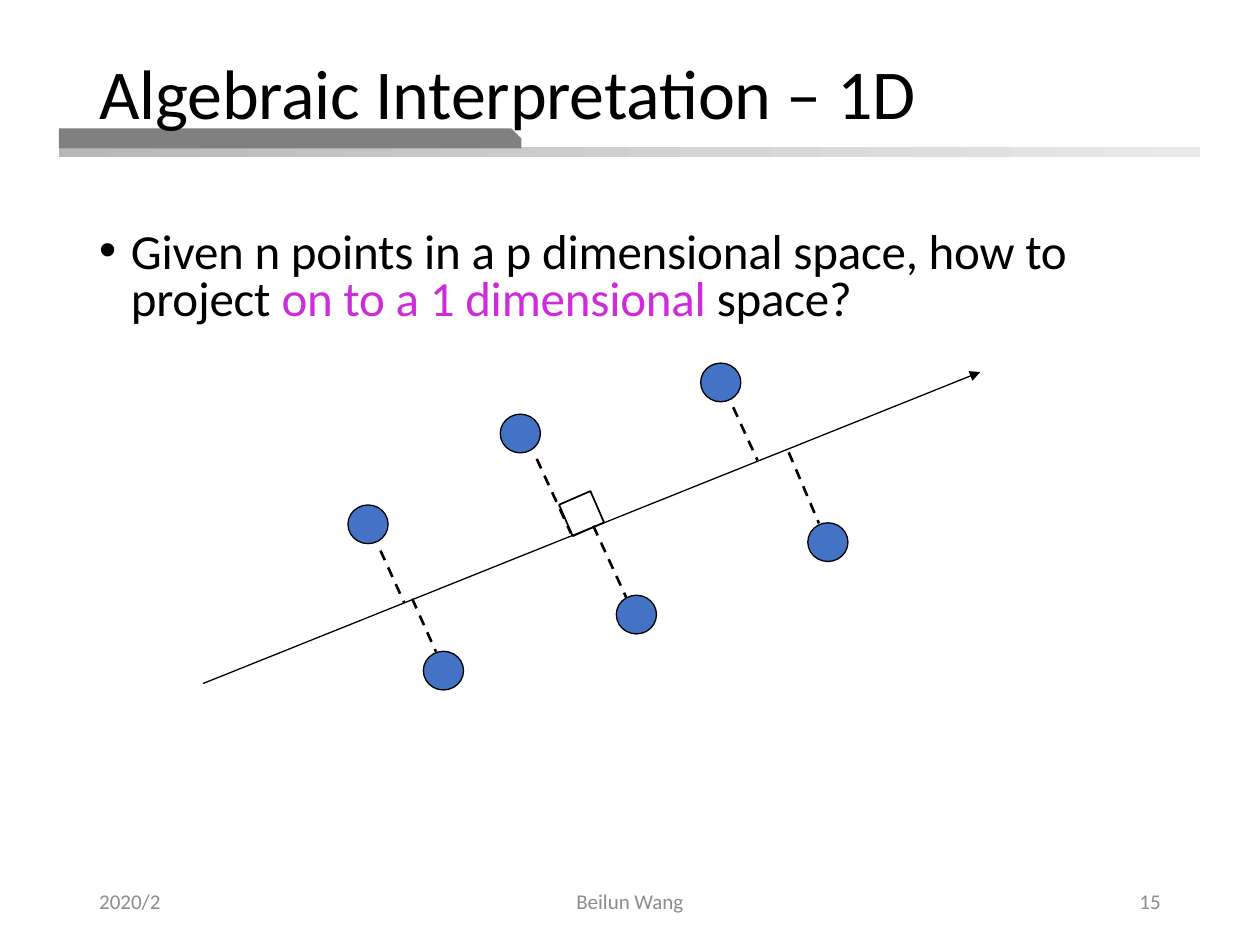
from lxml import etree
from pptx import Presentation
from pptx.dml.color import RGBColor
from pptx.enum.dml import MSO_LINE
from pptx.enum.shapes import MSO_CONNECTOR, MSO_SHAPE
from pptx.enum.text import MSO_ANCHOR, MSO_AUTO_SIZE, PP_ALIGN
from pptx.oxml.ns import qn
from pptx.util import Cm, Pt

LEFT, CENTER, RIGHT = PP_ALIGN.LEFT, PP_ALIGN.CENTER, PP_ALIGN.RIGHT
TOP, MIDDLE = MSO_ANCHOR.TOP, MSO_ANCHOR.MIDDLE
STRAIGHT, DASH = MSO_CONNECTOR.STRAIGHT, MSO_LINE.DASH
RECT, SNIPPED, OVAL = MSO_SHAPE.RECTANGLE, MSO_SHAPE.SNIP_1_RECTANGLE, MSO_SHAPE.OVAL
BLACK, GREY, MAGENTA, BLUE = "000000", "8C8C8C", "CE2CDA", "4472C4"
FONT = "Calibri"


def rgb(color):
    return RGBColor.from_string(color)


def write(frame, *spans, size=12, align=LEFT, anchor=TOP, spacing=1.0,
          tracking=0, inset=0.13, bullet=False):
    """Fill a frame with one paragraph of (text, colour) spans."""
    frame.word_wrap = True
    frame.auto_size = MSO_AUTO_SIZE.NONE
    frame.vertical_anchor = anchor
    frame.margin_left = frame.margin_right = Cm(0.25)
    frame.margin_top = frame.margin_bottom = Cm(inset)
    paragraph = frame.paragraphs[0]
    paragraph.alignment = align
    paragraph.line_spacing = spacing
    if bullet:
        paragraph.space_before = Pt(10)
        properties = paragraph._p.get_or_add_pPr()
        properties.set("marL", str(Cm(0.64)))
        properties.set("indent", str(Cm(-0.64)))
        etree.SubElement(properties, qn("a:buFont")).set("typeface", "Arial")
        etree.SubElement(properties, qn("a:buChar")).set("char", "•")
    for text, color in spans:
        run = paragraph.add_run()
        run.text = text
        run.font.name, run.font.size = FONT, Pt(size)
        run.font.color.rgb = rgb(color)
        if tracking:
            run._r.get_or_add_rPr().set("spc", str(round(tracking * 100)))


def add_text(slide, box, *spans, **style):
    frame = slide.shapes.add_textbox(*map(Cm, box)).text_frame
    write(frame, *spans, **style)


def add_preset(slide, kind, box, fill=None, line=None, width=0.75):
    shape = slide.shapes.add_shape(kind, *map(Cm, box))
    shape.shadow.inherit = False
    if fill:
        shape.fill.solid()
        shape.fill.fore_color.rgb = rgb(fill)
    else:
        shape.fill.background()
    if line:
        shape.line.color.rgb = rgb(line)
        shape.line.width = Pt(width)
    else:
        shape.line.fill.background()
    return shape


def add_line(slide, start, end, width, dash=None, arrow=False):
    connector = slide.shapes.add_connector(STRAIGHT, *map(Cm, start + end))
    connector.line.color.rgb = rgb(BLACK)
    connector.line.width = Pt(width)
    if dash:
        connector.line.dash_style = dash
    if arrow:
        outline = connector.line._get_or_add_ln()
        etree.SubElement(outline, qn("a:tailEnd")).set("type", "triangle")
    etree.SubElement(connector._element.spPr, qn("a:effectLst"))


def add_heading(slide, left, top, width):
    # Gradient rule with a darker tab standing on it
    rule = add_preset(slide, RECT, (left, top + 1.95, width, 0.2))
    rule.fill.gradient()
    rule.fill.gradient_angle = 0
    for stop, color in zip(rule.fill.gradient_stops, ("B8B8B8", "E9E9E9")):
        stop.color.rgb = rgb(color)
    tab = add_preset(slide, SNIPPED, (left, top + 1.57, 9.32, 0.4), fill="808080")
    tab.adjustments[0] = 0.5

    # The title is moved in front of the bars
    title = slide.shapes.title
    title.left, title.top = Cm(left + 0.56), Cm(top)
    title.width, title.height = Cm(21.29), Cm(1.63)
    write(title.text_frame, ("Algebraic Interpretation – 1D", BLACK),
          size=40, spacing=0.9, tracking=-0.1, inset=0.18)
    slide.shapes._spTree.append(title._element)


def add_projection(slide, left, top):
    def at(x, y):
        return left + x, top + y

    # Axis onto which the points are projected
    add_line(slide, at(0, 6.46), at(15.67, 0.18), 0.75, arrow=True)

    # Perpendicular projections
    projections = [((3.58, 3.78), (4.06, 4.83)), ((4.22, 4.75), (4.7, 5.82)),
                   ((6.73, 1.93), (7.42, 3.43)), ((7.87, 3.28), (8.56, 4.78)),
                   ((10.69, 0.89), (11.18, 1.96)), ((11.81, 1.8), (12.42, 3.23))]
    for start, end in projections:
        add_line(slide, at(*start), at(*end), 1.5, dash=DASH)

    # Data points, given by their centres
    point_w, point_h = 0.81, 0.78
    for x, y in [(6.4, 1.42), (12.6, 3.61), (8.74, 5.07),
                 (4.85, 6.2), (3.33, 3.25), (10.44, 0.39)]:
        corner = at(x - point_w / 2, y - point_h / 2)
        add_preset(slide, OVAL, corner + (point_w, point_h), BLUE, BLACK)

    # Right-angle mark
    right_angle = add_preset(slide, RECT, at(7.29, 2.69) + (0.69, 0.69),
                             line=BLACK, width=1)
    right_angle.rotation = 336.5


def add_footer(slide, top):
    for text, left, width, align in [("2020/2", 1.75, 5.72, LEFT),
                                     ("Beilun Wang", 8.41, 8.58, CENTER),
                                     ("15", 17.93, 5.72, RIGHT)]:
        add_text(slide, (left, top, width, 1.02), (text, GREY),
                 align=align, anchor=MIDDLE)


def main():
    deck = Presentation()
    deck.slide_width, deck.slide_height = Cm(25.4), Cm(19.05)
    slide = deck.slides.add_slide(deck.slide_layouts[5])
    add_heading(slide, 1.19, 1.02, 23.01)
    add_text(slide, (1.75, 4.5, 21.89, 12.67),
             ("Given n points in a p dimensional space, how to project ", BLACK),
             ("on to a 1 dimensional ", MAGENTA), ("space?", BLACK),
             size=28, spacing=0.8, tracking=-0.1, inset=0.18, bullet=True)
    add_footer(slide, 17.65)
    add_projection(slide, 4.09, 7.32)
    deck.save("out.pptx")


if __name__ == "__main__":
    main()
